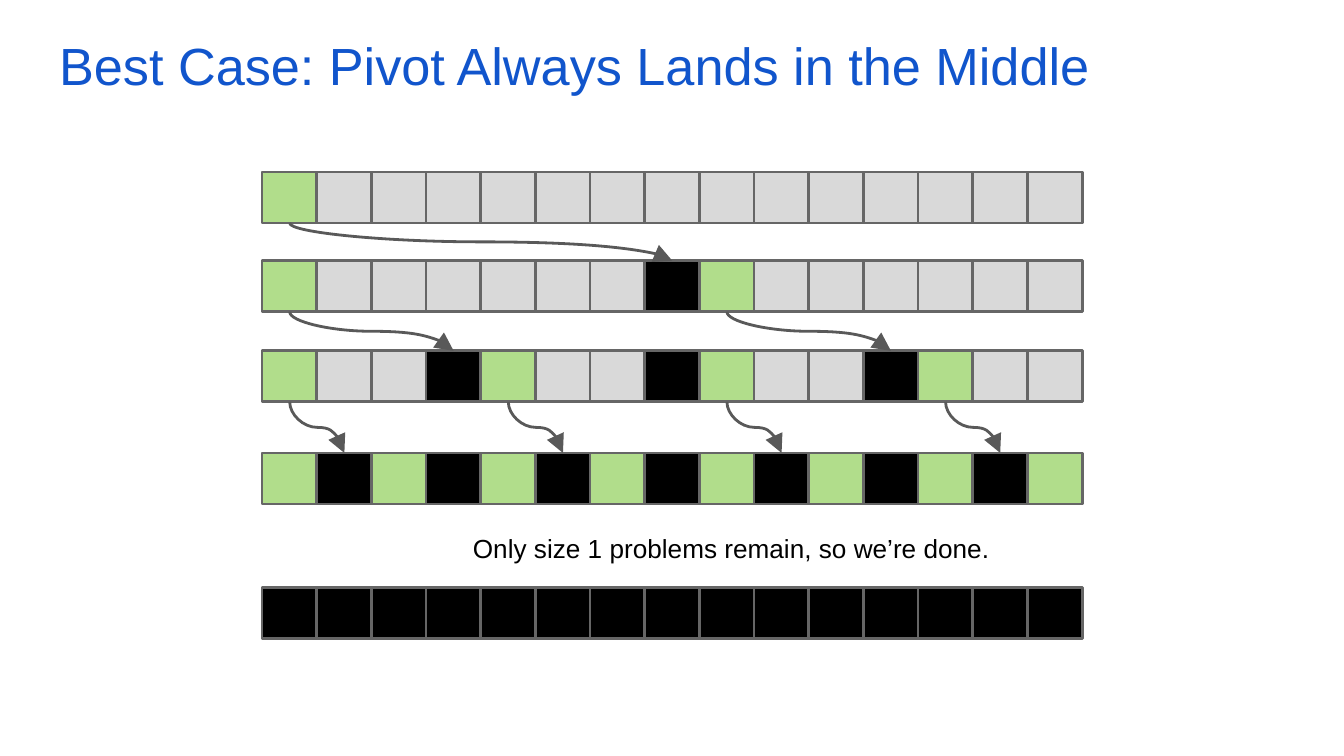
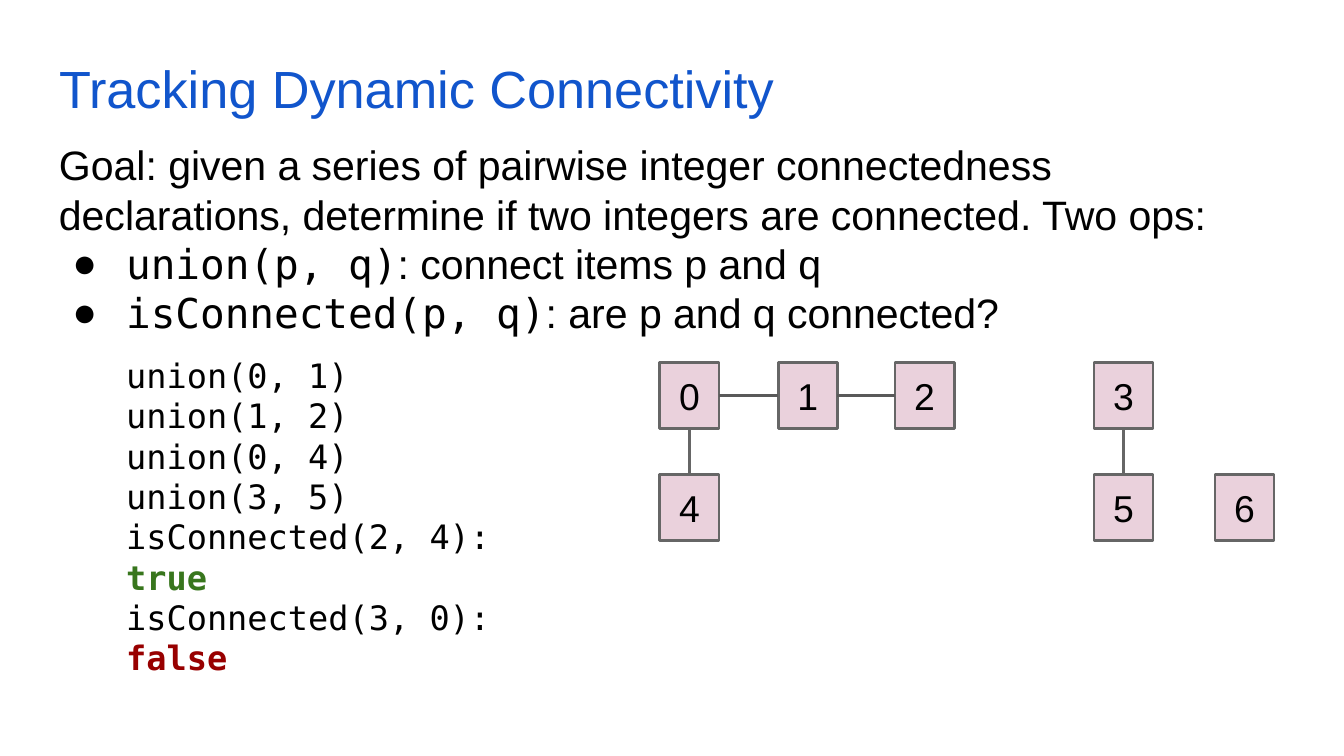
from lxml import etree
from pptx import Presentation
from pptx.dml.color import RGBColor
from pptx.enum.shapes import MSO_CONNECTOR as LINK, MSO_SHAPE
from pptx.enum.text import MSO_ANCHOR as ANCHOR, MSO_AUTO_SIZE, PP_ALIGN as ALIGN
from pptx.oxml.ns import qn
from pptx.util import Inches, Pt

COLORS = {
    "title": "1155CC", "text": "000000", "border": "666666", "arrow": "595959",
    "pivot": "B1DD8B", "waiting": "D9D9D9", "placed": "000000",
    "node": "EAD1DC", "true": "38761D", "false": "980000",
}
SLIDE_WIDTH = 10
SLIDE_HEIGHT = SLIDE_WIDTH * 9 / 16
SANS, MONO = "Arial", "DejaVu Sans Mono"
LINE_HEIGHT = 1.2

# Array cells: P is the pivot of a part, # an item in its final place.
CELL_KINDS = {"P": "pivot", ".": "waiting", "#": "placed"}
ROWS = [
    (1.28, "P.............."),
    (1.94, "P......#P......"),
    (2.61, "P..#P..#P..#P.."),
    (3.37, "P#P#P#P#P#P#P#P"),
    (4.37, "###############"),
]
PIVOT_MOVES = [
    [(0, 7)],
    [(0, 3), (8, 11)],
    [(0, 1), (4, 5), (8, 9), (12, 13)],
]
ARRAY_LEFT, ARRAY_WIDTH = 1.95, 6.1
PITCH = ARRAY_WIDTH / 15
CELL_WIDTH, CELL_HEIGHT = 0.41, 0.38

NODE_WIDTH, NODE_HEIGHT = 0.44, 0.49
UPPER, LOWER = 2.7, 3.53
NODES = {
    "0": (4.91, UPPER), "1": (5.79, UPPER), "2": (6.66, UPPER), "3": (8.14, UPPER),
    "4": (4.91, LOWER), "5": (8.14, LOWER), "6": (9.04, LOWER),
}
EDGES = [("0", "4", "border"), ("3", "5", "border"),
         ("0", "1", "arrow"), ("1", "2", "arrow")]


def rgb(name):
    return RGBColor.from_string(COLORS[name])


def set_frame(frame, anchor=ANCHOR.TOP):
    settings = {
        "word_wrap": True, "auto_size": MSO_AUTO_SIZE.NONE, "vertical_anchor": anchor,
        "margin_left": Inches(0.1), "margin_right": Inches(0.1),
        "margin_top": Inches(0.1), "margin_bottom": Inches(0.1),
    }
    for key, value in settings.items():
        setattr(frame, key, value)


def add_bullet(paragraph):
    props = paragraph._p.get_or_add_pPr()
    props.set("marL", str(Inches(0.5)))
    props.set("indent", str(Inches(-0.4)))
    etree.SubElement(props, qn("a:buFont")).set("typeface", SANS)
    etree.SubElement(props, qn("a:buChar")).set("char", "●")


def write(frame, paragraphs, size, align=ALIGN.LEFT, color="text"):
    """Fill a frame; a paragraph is (bulleted, [(text, font, colour or None)])."""
    for index, (bulleted, runs) in enumerate(paragraphs):
        paragraph = frame.add_paragraph() if index else frame.paragraphs[0]
        if bulleted:
            add_bullet(paragraph)
        paragraph.alignment = align
        paragraph.line_spacing = Pt(size * LINE_HEIGHT)
        for text, font, accent in runs:
            run = paragraph.add_run()
            run.text = text
            look = {"name": font, "size": Pt(size), "bold": accent is not None}
            for key, value in look.items():
                setattr(run.font, key, value)
            run.font.color.rgb = rgb(accent or color)


def place(shape, left, top, width, height):
    bounds = {"left": left, "top": top, "width": width, "height": height}
    for key, value in bounds.items():
        setattr(shape, key, Inches(value))


def add_titled_slide(deck, title, top):
    slide = deck.slides.add_slide(deck.slide_layouts[5])
    heading = slide.shapes.title
    place(heading, 0.34, top, 9.32, 0.63)
    set_frame(heading.text_frame)
    write(heading.text_frame, [(False, [(title, SANS, None)])], 28, color="title")
    return slide


def add_text(slide, bounds, paragraphs, size):
    frame = slide.shapes.add_textbox(*map(Inches, bounds)).text_frame
    set_frame(frame)
    write(frame, paragraphs, size)


def add_box(slide, left, top, width, height, fill):
    box = slide.shapes.add_shape(
        MSO_SHAPE.RECTANGLE, *map(Inches, (left, top, width, height)))
    box.shadow.inherit = False
    box.fill.solid()
    box.fill.fore_color.rgb = rgb(fill)
    box.line.color.rgb = rgb("border")
    box.line.width = Pt(1.5)
    return box


def style_link(link, color):
    link.line.color.rgb = rgb(color)
    link.line.width = Pt(1.5)
    etree.SubElement(link._element.spPr, qn("a:effectLst"))


def add_array(slide, top, cells):
    for column, cell in enumerate(cells):
        add_box(slide, ARRAY_LEFT + column * PITCH, top,
                CELL_WIDTH, CELL_HEIGHT, CELL_KINDS[cell])


def add_move_arrow(slide, x1, y1, x2, y2):
    """Draw an S curve that leaves and arrives vertically: a mirrored quarter turn."""
    across, down = x2 - x1, y2 - y1
    left = (x1 + x2 - down) / 2
    top = (y1 + y2 - across) / 2
    arrow = slide.shapes.add_connector(
        LINK.CURVE, *map(Inches, (left, top, left + down, top + across)))
    frame = arrow._element.spPr.find(qn("a:xfrm"))
    frame.set("rot", str(270 * 60000))
    frame.set("flipH", "1")
    style_link(arrow, "arrow")
    head = etree.SubElement(arrow.line._get_or_add_ln(), qn("a:tailEnd"))
    for key, value in {"type": "triangle", "w": "lg", "len": "lg"}.items():
        head.set(key, value)


def add_node(slide, label, left, top):
    node = add_box(slide, left, top, NODE_WIDTH, NODE_HEIGHT, "node")
    set_frame(node.text_frame, ANCHOR.MIDDLE)
    write(node.text_frame, [(False, [(label, SANS, None)])], 20, ALIGN.CENTER)
    return node


def add_edge(slide, start, end, color):
    edge = slide.shapes.add_connector(LINK.STRAIGHT, 0, 0, 0, 0)
    start_side, end_side = (3, 1) if start.top == end.top else (2, 0)
    edge.begin_connect(start, start_side)
    edge.end_connect(end, end_side)
    style_link(edge, color)


def build_best_case(deck):
    slide = add_titled_slide(deck, "Best Case: Pivot Always Lands in the Middle", 0.15)
    for top, cells in ROWS:
        add_array(slide, top, cells)
    first_center = ARRAY_LEFT + CELL_WIDTH / 2
    for (top, _), (next_top, _), moves in zip(ROWS, ROWS[1:], PIVOT_MOVES):
        for start, end in moves:
            add_move_arrow(slide, first_center + start * PITCH, top + CELL_HEIGHT,
                           first_center + end * PITCH, next_top)
    add_text(slide, (3.42, 3.89, 4.59, 0.14),
             [(False, [("Only size 1 problems remain, so we’re done.", SANS, None)])], 14)


def build_connectivity(deck):
    slide = add_titled_slide(deck, "Tracking Dynamic Connectivity", 0.32)
    goal = ("Goal: given a series of pairwise integer connectedness declarations, "
            "determine if two integers are connected. Two ops:")
    operations = [("union(p, q)", ": connect items p and q"),
                  ("isConnected(p, q)", ": are p and q connected?")]
    add_text(slide, (0.34, 0.94, 8.89, 1.59),
             [(False, [(goal, SANS, None)])]
             + [(True, [(call, MONO, None), (meaning, SANS, None)])
                for call, meaning in operations], 22)

    unions = ["union(0, 1)", "union(1, 2)", "union(0, 4)", "union(3, 5)"]
    queries = [("isConnected(2, 4): ", "true"), ("isConnected(3, 0): ", "false")]
    add_text(slide, (0.84, 2.54, 3.64, 2.59),
             [(False, [(call, MONO, None)]) for call in unions]
             + [(False, [(call, MONO, None), (answer, MONO, answer)])
                for call, answer in queries], 18)

    nodes = {label: add_node(slide, label, *spot) for label, spot in NODES.items()}
    for start, end, color in EDGES:
        add_edge(slide, nodes[start], nodes[end], color)


def main():
    deck = Presentation()
    deck.slide_width, deck.slide_height = Inches(SLIDE_WIDTH), Inches(SLIDE_HEIGHT)
    build_best_case(deck)
    build_connectivity(deck)
    deck.save("out.pptx")


if __name__ == "__main__":
    main()
